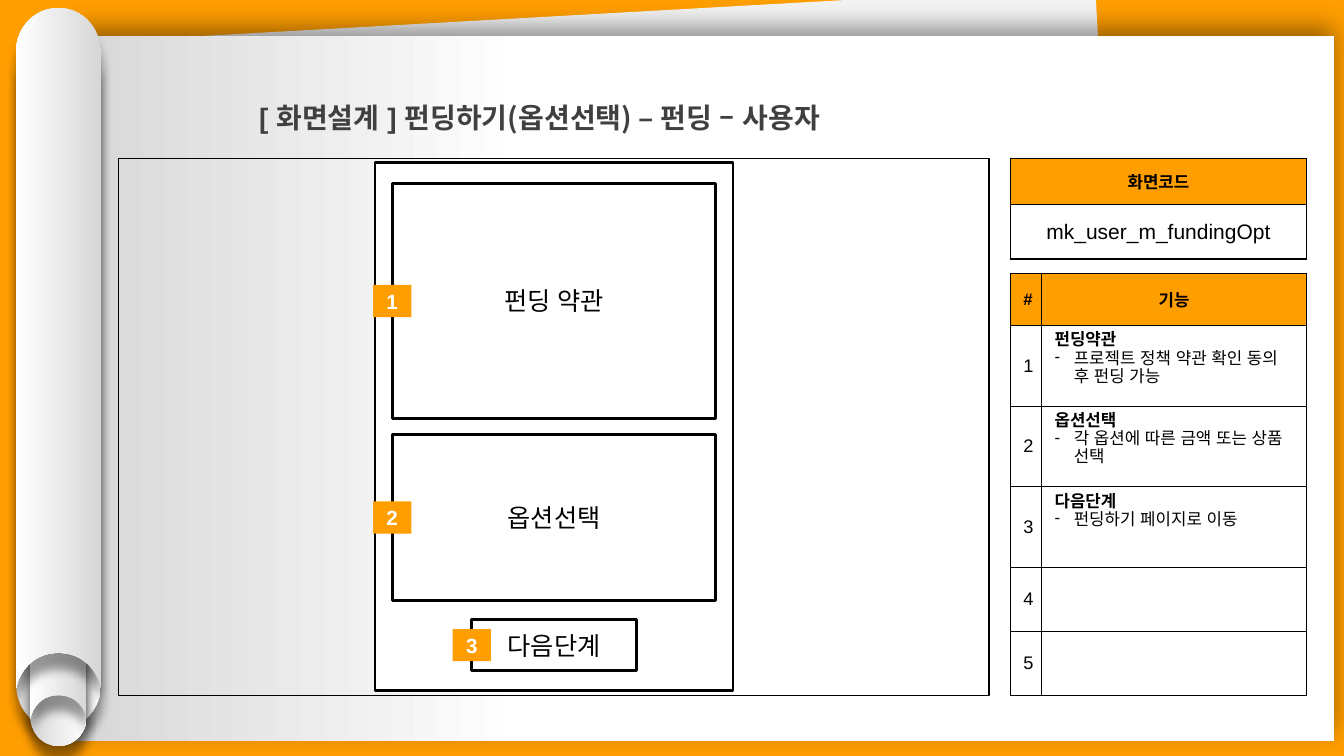
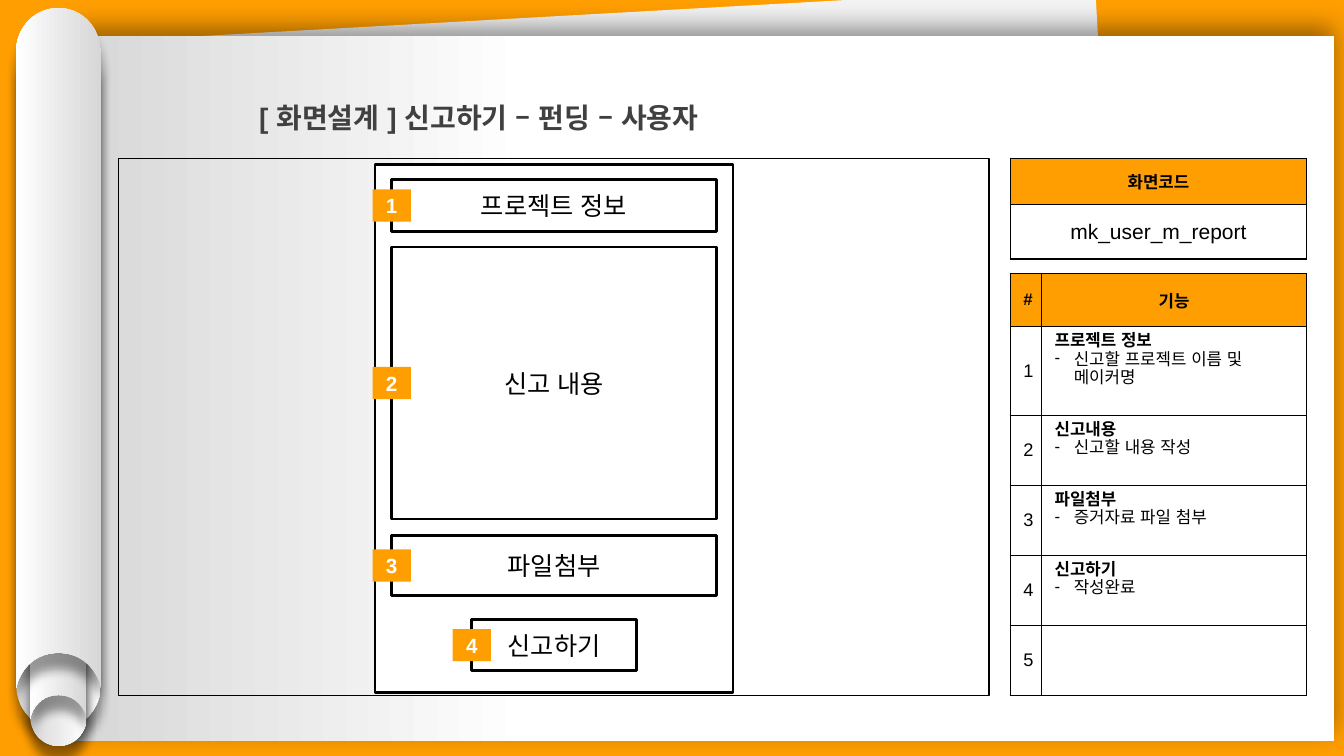
from pptx import Presentation
from pptx.dml.color import RGBColor
from pptx.enum.lang import MSO_LANGUAGE_ID
from pptx.enum.shapes import MSO_SHAPE
from pptx.enum.text import MSO_ANCHOR, MSO_AUTO_SIZE, PP_ALIGN
from pptx.oxml import parse_xml
from pptx.oxml.ns import nsdecls, qn
from pptx.util import Inches, Pt

RECT = MSO_SHAPE.RECTANGLE
MID, TOP = MSO_ANCHOR.MIDDLE, MSO_ANCHOR.TOP
LEFT, MIDST = PP_ALIGN.LEFT, PP_ALIGN.CENTER
FIXED = MSO_AUTO_SIZE.NONE
KOREAN = MSO_LANGUAGE_ID.KOREAN

HUES = {"gold": "FF9E00", "ink": "000000", "white": "FFFFFF",
        "paper": "F2F2F2", "grey": "D7D7D7", "title": "404040"}
LATIN, HANGUL = "Arial", "Noto Sans CJK KR"
ROLLS = [(0.16, 0.48, 0.84, 6.75, 180), (0.3, 2.88, 0.56, 4.52, 180),
         (0.3, 2.61, 0.56, 4.52, 0), (0.16, 0.08, 0.84, 6.75, 0)]
BENDS = (0, 5, 8, 13)
STAGE = (1.18, 1.57, 8.63, 5.33)
HEAD = (2.47, 0.78, 9.61, 0.54)
CODE = (10.02, 1.57, 2.94, 1)
LIST = (10.02, 2.71, 2.94, 4.19)
STEPS = 5
BADGE = (0.38, 0.32)

PAGES = [
    {"title": [("[ 화면설계 ] ", LATIN),
               ("펀딩하기(옵션선택) – 펀딩 – 사용자", HANGUL)],
     "code": "mk_user_m_fundingOpt",
     "phone": (3.72, 1.61, 3.55, 5.24),
     "parts": [(0.21, 3.21, 2.33, "펀딩 약관"),
               (2.7, 3.21, 1.65, "옵션선택"),
               (4.54, 1.63, 0.5, "다음단계")],
     "rows": [0.52, 0.8, 0.8, 0.8],
     "notes": [("펀딩약관", "프로젝트 정책 약관 확인 동의 후 펀딩 가능"),
               ("옵션선택", "각 옵션에 따른 금액 또는 상품 선택"),
               ("다음단계", "펀딩하기 페이지로 이동")]},
    {"title": [("[ 화면설계 ] ", LATIN), ("신고하기 – 펀딩 ", HANGUL),
               ("– 사용자", LATIN)],
     "code": "mk_user_m_report",
     "phone": (3.72, 1.63, 3.55, 5.24),
     "parts": [(0.15, 3.22, 0.52, "프로젝트 정보"),
               (0.82, 3.22, 2.7, "신고 내용"),
               (3.68, 3.22, 0.6, "파일첨부"),
               (4.52, 1.63, 0.5, "신고하기")],
     "rows": [0.53, 0.88],
     "notes": [("프로젝트 정보", "신고할 프로젝트 이름 및 메이커명"),
               ("신고내용", "신고할 내용 작성"),
               ("파일첨부", "증거자료 파일 첨부"),
               ("신고하기", "작성완료")]},
]


def hue(name):
    return RGBColor.from_string(HUES[name])


def place(box):
    return [Inches(v) for v in box]


def style(run, size, tone="ink", bold=False, face=LATIN):
    font = run.font
    font.size, font.bold, font.name = Pt(size), bold, face
    font.language_id = KOREAN
    font.color.rgb = hue(tone)


def label(frame, text, size, tone="ink", bold=False):
    frame.text = text
    par = frame.paragraphs[0]
    par.alignment = MIDST
    style(par.runs[0], size, tone, bold)


def block(shapes, box, fill=None, line=None):
    shape = shapes.add_shape(RECT, *place(box))
    shape.shadow.inherit = False
    if fill:
        shape.fill.solid()
        shape.fill.fore_color.rgb = hue(fill)
    else:
        shape.fill.background()
    if line:
        shape.line.color.rgb = hue("ink")
        shape.line.width = Pt(line)
    else:
        shape.line.fill.background()
    return shape


def fade(shape, stops):
    shape.fill.gradient()
    shape.fill.gradient_angle = 180
    for stop, (spot, tone) in zip(shape.fill.gradient_stops, stops):
        stop.position = spot
        stop.color.rgb = hue(tone)


def shade(shape, blur, dist, angle):
    shape.shadow.inherit = False
    shape._element.spPr.find(qn("a:effectLst")).append(parse_xml(
        f'<a:outerShdw {nsdecls("a")} blurRad="{Pt(blur)}" dist="{Pt(dist)}" '
        f'dir="{angle * 60000}" algn="ctr" rotWithShape="0">'
        f'<a:srgbClr val="{HUES["ink"]}"><a:alpha val="40000"/></a:srgbClr>'
        '</a:outerShdw>'))


def bend(shape):
    legs = list(shape._element.iter(qn("a:lnTo")))
    for first in BENDS:
        curve = parse_xml(f'<a:cubicBezTo {nsdecls("a")}/>')
        legs[first].addprevious(curve)
        for leg in legs[first:first + 3]:
            curve.append(leg[0])
            leg.getparent().remove(leg)


def roll(shapes, left, top, wide, high, turn):
    foot = high / wide
    half = [(0.5, 0), (0.78, 0), (1, 0.23), (1, 0.52), (1, foot),
            (0.98, foot - 0.08), (0.9, foot - 0.29),
            (0.73, foot - 0.42), (0.5, foot - 0.42)]
    ring = half + [(1 - x, y) for x, y in half[-2::-1]]
    dots = [place((left + x * wide, top + y * wide)) for x, y in ring]
    pen = shapes.build_freeform(*dots[0])
    pen.add_line_segments(dots[1:], close=True)
    shape = pen.convert_to_shape()
    bend(shape)
    shape.rotation = turn
    shape.line.fill.background()
    fade(shape, [(0, "grey"), (1, "white")])
    shade(shape, 7, 11, 90)


def scroll(slide):
    slide.background.fill.solid()
    slide.background.fill.fore_color.rgb = hue("gold")
    back = block(slide.shapes, (0.91, 0.14, 10.15, 6.8), "paper")
    back.rotation = 356.8
    page = block(slide.shapes, (0.73, 0.36, 12.5, 6.99), "white")
    fade(page, [(0.64, "white"), (1, "grey")])
    shade(page, 18, 6, 270)
    group = slide.shapes.add_group_shape()
    for spot in ROLLS:
        roll(group.shapes, *spot)


def head(slide, box, runs):
    title = slide.shapes.title
    title.left, title.top, title.width, title.height = place(box)
    slide.shapes._spTree.append(title._element)
    frame = title.text_frame
    frame.word_wrap = True
    frame.auto_size = FIXED
    frame.vertical_anchor = TOP
    par = frame.paragraphs[0]
    par.alignment = LEFT
    par.line_spacing = 1.5
    for text, face in runs:
        run = par.add_run()
        run.text = text
        style(run, 20, "title", True, face)


def phone(slide, box, parts):
    left, top, wide, _ = box
    group = slide.shapes.add_group_shape()
    block(group.shapes, box, "white", 2)
    for num, (drop, span, high, text) in enumerate(parts, 1):
        edge = left + (wide - span) / 2
        part = block(group.shapes, (edge, top + drop, span, high), "white", 2)
        part.text_frame.vertical_anchor = MID
        label(part.text_frame, text, 18)
        badge(slide, edge, top + drop + high / 2, num)


def badge(slide, x, y, num):
    wide, high = BADGE
    shape = block(slide.shapes, (x - wide / 2, y - high / 2, wide, high), "gold")
    shape.text_frame.vertical_anchor = MID
    label(shape.text_frame, str(num), 14.7, "white", True)


def grid(slide, box, cols, rows):
    table = slide.shapes.add_table(len(rows), len(cols), *place(box)).table
    table.first_row = table.horz_banding = False
    for col, wide in zip(table.columns, cols):
        col.width = Inches(wide)
    for row, high in zip(table.rows, rows):
        row.height = Inches(high)
    for num, row in enumerate(table.rows):
        for cell in row.cells:
            cell.margin_left = cell.margin_right = Inches(0.13)
            cell.margin_top = cell.margin_bottom = Inches(0.07)
            cell.vertical_anchor = MID
            trim(cell)
            if num:
                cell.fill.background()
            else:
                cell.fill.solid()
                cell.fill.fore_color.rgb = hue("gold")
    return table


def trim(cell):
    props = cell._tc.get_or_add_tcPr()
    for side in ("lnL", "lnR", "lnT", "lnB"):
        props.append(parse_xml(
            f'<a:{side} {nsdecls("a")} w="{Pt(1)}"><a:solidFill>'
            f'<a:srgbClr val="{HUES["ink"]}"/></a:solidFill></a:{side}>'))


def code(slide, box, text):
    table = grid(slide, box, [box[2]], [0.46, 0.54])
    label(table.cell(0, 0).text_frame, "화면코드", 12, bold=True)
    label(table.cell(1, 0).text_frame, text, 15)


def note(cell, name, text):
    cell.vertical_anchor = TOP
    frame = cell.text_frame
    frame.text = name
    item = frame.add_paragraph()
    item.text = text
    props = item._p.get_or_add_pPr()
    props.set("marL", str(Inches(0.19)))
    props.set("indent", str(-Inches(0.19)))
    for mark in (f'buClr {nsdecls("a")}><a:srgbClr val="{HUES["ink"]}"/></a:buClr',
                 f'buFont {nsdecls("a")} typeface="{LATIN}"/',
                 f'buChar {nsdecls("a")} char="-"/'):
        props.append(parse_xml(f"<a:{mark}>"))
    for par, bold in zip(frame.paragraphs, (True, False)):
        par.line_spacing = Pt(13)
        style(par.runs[0], 12, bold=bold)


def steps(slide, box, rows, notes):
    rest = STEPS + 1 - len(rows)
    rows = rows + [(box[3] - sum(rows)) / rest] * rest
    table = grid(slide, box, [0.31, box[2] - 0.31], rows)
    label(table.cell(0, 0).text_frame, "#", 12, bold=True)
    label(table.cell(0, 1).text_frame, "기능", 12, bold=True)
    for num in range(1, STEPS + 1):
        label(table.cell(num, 0).text_frame, str(num), 13)
    for num, (name, text) in enumerate(notes, 1):
        note(table.cell(num, 1), name, text)


def build(deck, page):
    slide = deck.slides.add_slide(deck.slide_layouts[5])
    scroll(slide)
    block(slide.shapes, STAGE, line=0.75)
    head(slide, HEAD, page["title"])
    phone(slide, page["phone"], page["parts"])
    code(slide, CODE, page["code"])
    steps(slide, LIST, page["rows"], page["notes"])


def main():
    deck = Presentation()
    deck.slide_width, deck.slide_height = Inches(13.33), Inches(7.5)
    for page in PAGES:
        build(deck, page)
    deck.save("out.pptx")


if __name__ == "__main__":
    main()
